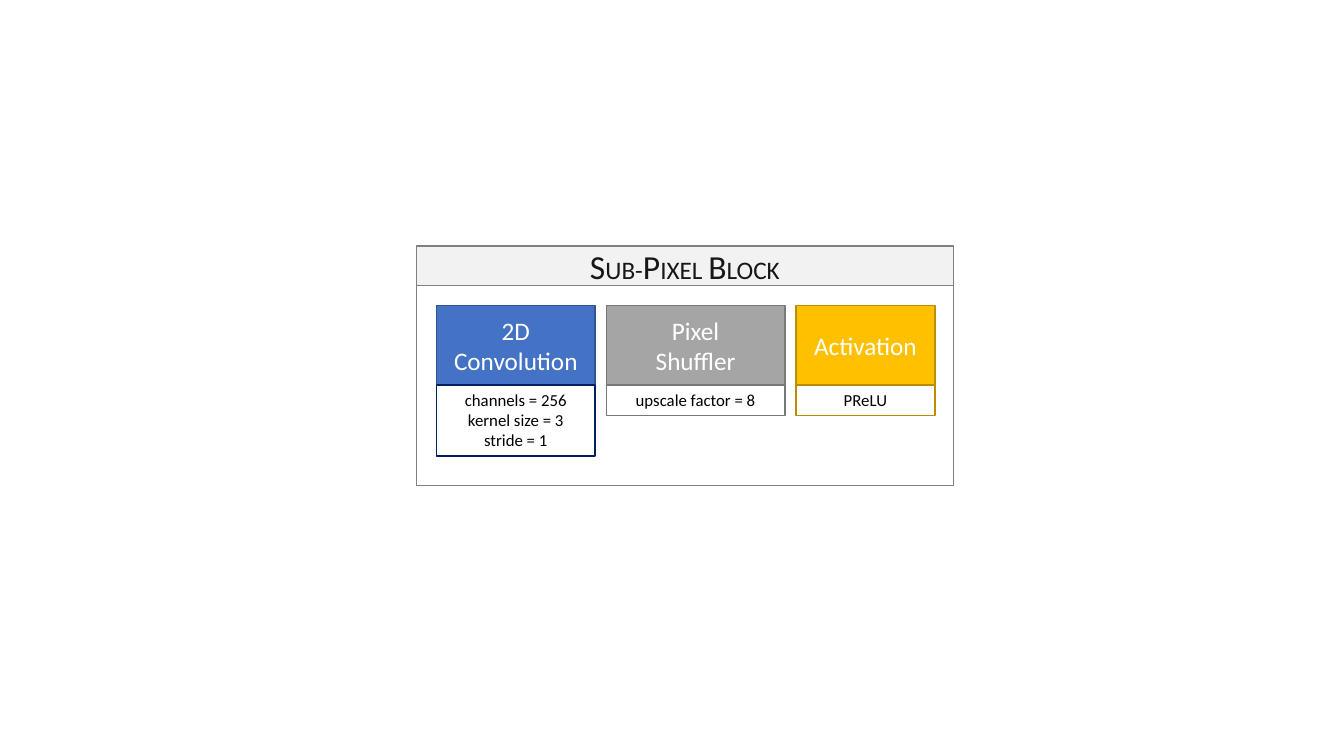
from dataclasses import dataclass
from typing import Optional

import pptx
import pptx.dml.color
import pptx.enum.shapes
import pptx.enum.text
import pptx.shapes.autoshape
import pptx.slide
import pptx.text.text
import pptx.util

Cm = pptx.util.Cm
Pt = pptx.util.Pt
RGBColor = pptx.dml.color.RGBColor
Anchor = pptx.enum.text.MSO_ANCHOR

FONT = "Calibri"
WHITE = RGBColor(0xFF, 0xFF, 0xFF)
BLACK = RGBColor(0x00, 0x00, 0x00)
HEADER_TEXT = RGBColor(0x18, 0x17, 0x17)
HEADER_FILL = RGBColor(0xF2, 0xF2, 0xF2)
FRAME_GRAY = RGBColor(0x80, 0x80, 0x80)
BLUE = RGBColor(0x44, 0x72, 0xC4)
DARK_BLUE = RGBColor(0x32, 0x54, 0x91)
NAVY = RGBColor(0x00, 0x20, 0x60)
GRAY = RGBColor(0xA5, 0xA5, 0xA5)
DARK_GRAY = RGBColor(0x7A, 0x7A, 0x7A)
DETAIL_GRAY = RGBColor(0x78, 0x78, 0x78)
GOLD = RGBColor(0xFF, 0xC0, 0x00)
DARK_GOLD = RGBColor(0xBD, 0x8E, 0x00)
DETAIL_GOLD = RGBColor(0xBC, 0x8C, 0x00)

# Lengths in centimetres
BLOCK_LEFT, BLOCK_TOP, BLOCK_WIDTH = 10.49, 6.2, 13.54
HEADER_HEIGHT, FRAME_HEIGHT = 1.0, 5.03
LAYERS_LEFT, LAYERS_TOP, LAYER_HEIGHT, LAYER_GAP = 11.0, 7.7, 2.0, 0.28
DETAIL_LINE, DETAIL_PADDING = 0.51, 0.26


@dataclass(frozen=True)
class Layer:
    name: list[str]
    details: list[str]
    width: float
    fill: RGBColor
    name_line: RGBColor
    detail_line: RGBColor


LAYERS = [
    Layer(["2D Convolution"], ["channels = 256", "kernel size = 3", "stride = 1"],
          4.0, BLUE, DARK_BLUE, NAVY),
    Layer(["Pixel", "Shuffler"], ["upscale factor = 8"],
          4.5, GRAY, DARK_GRAY, DETAIL_GRAY),
    Layer(["Activation"], ["PReLU"],
          3.5, GOLD, DARK_GOLD, DETAIL_GOLD),
]
HEADER_RUNS = [("S", 24), ("UB-", 18), ("P", 24), ("IXEL ", 18), ("B", 24), ("LOCK", 18)]


def add_run(paragraph: pptx.text.text._Paragraph, text: str, size: float,
            color: RGBColor) -> None:
    run = paragraph.add_run()
    run.text = text
    run.font.name = FONT
    run.font.size = Pt(size)
    run.font.color.rgb = color


def paint(shape: pptx.shapes.autoshape.Shape, fill: Optional[RGBColor],
          line: RGBColor) -> None:
    if fill is None:
        shape.fill.background()
    else:
        shape.fill.solid()
        shape.fill.fore_color.rgb = fill
    shape.line.color.rgb = line
    shape.line.width = Pt(1)


def add_box(slide: pptx.slide.Slide, left: float, top: float, width: float,
            height: float, fill: Optional[RGBColor],
            line: RGBColor) -> pptx.shapes.autoshape.Shape:
    box = slide.shapes.add_shape(pptx.enum.shapes.MSO_SHAPE.RECTANGLE,
                                 Cm(left), Cm(top), Cm(width), Cm(height))
    box.shadow.inherit = False
    paint(box, fill, line)
    return box


def write_lines(box: pptx.shapes.autoshape.Shape, lines: list[str], size: float,
                color: RGBColor, anchor: Anchor) -> None:
    frame = box.text_frame
    frame.word_wrap = True
    frame.vertical_anchor = anchor
    for index, line in enumerate(lines):
        paragraph = frame.add_paragraph() if index else frame.paragraphs[0]
        paragraph.alignment = pptx.enum.text.PP_ALIGN.CENTER
        add_run(paragraph, line, size, color)


def add_layer(slide: pptx.slide.Slide, layer: Layer, left: float) -> None:
    """Draw a layer's coloured name box with its parameter box below."""
    name_box = add_box(slide, left, LAYERS_TOP, layer.width, LAYER_HEIGHT,
                       layer.fill, layer.name_line)
    write_lines(name_box, layer.name, 18, WHITE, Anchor.MIDDLE)
    detail_height = DETAIL_PADDING + DETAIL_LINE * len(layer.details)
    detail_box = add_box(slide, left, LAYERS_TOP + LAYER_HEIGHT, layer.width,
                         detail_height, None, layer.detail_line)
    write_lines(detail_box, layer.details, 12, BLACK, Anchor.TOP)


def add_header(slide: pptx.slide.Slide) -> None:
    header = slide.shapes.title
    header.left, header.top = Cm(BLOCK_LEFT), Cm(BLOCK_TOP)
    header.width, header.height = Cm(BLOCK_WIDTH), Cm(HEADER_HEIGHT)
    paint(header, HEADER_FILL, FRAME_GRAY)
    frame = header.text_frame
    frame.auto_size = pptx.enum.text.MSO_AUTO_SIZE.NONE
    frame.vertical_anchor = Anchor.MIDDLE
    paragraph = frame.paragraphs[0]
    paragraph.alignment = pptx.enum.text.PP_ALIGN.CENTER
    for text, size in HEADER_RUNS:
        add_run(paragraph, text, size, HEADER_TEXT)


def main() -> None:
    presentation = pptx.Presentation()
    presentation.slide_width, presentation.slide_height = Cm(33.87), Cm(19.05)
    slide = presentation.slides.add_slide(
        presentation.slide_layouts.get_by_name("Title Only"))
    left = LAYERS_LEFT
    for layer in LAYERS:
        add_layer(slide, layer, left)
        left += layer.width + LAYER_GAP
    add_box(slide, BLOCK_LEFT, BLOCK_TOP + HEADER_HEIGHT, BLOCK_WIDTH, FRAME_HEIGHT,
            None, FRAME_GRAY)
    add_header(slide)
    presentation.save("out.pptx")


if __name__ == "__main__":
    main()
